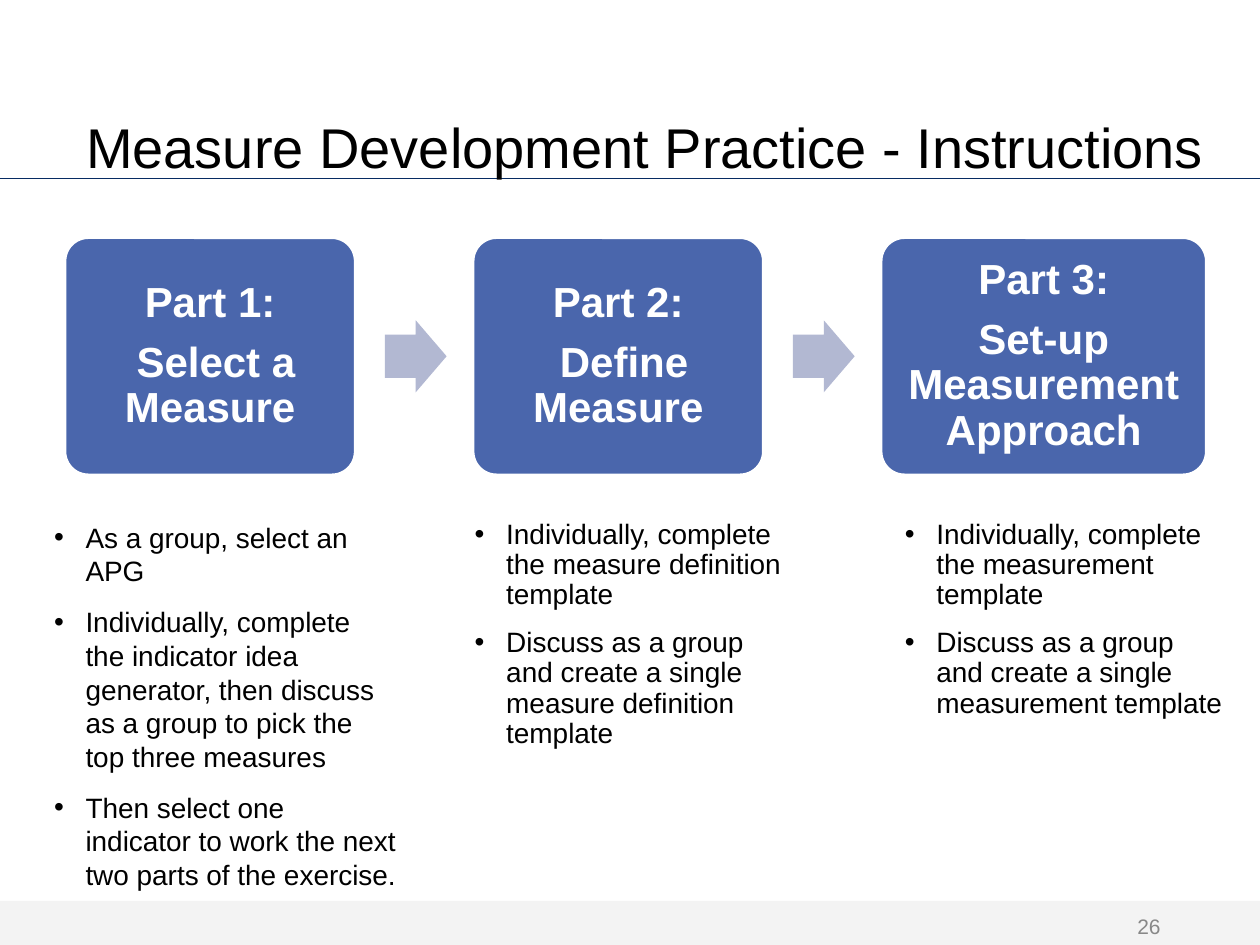
"""Build the measure development practice slide with three stages and their instructions."""
from dataclasses import dataclass

import pptx
import pptx.dml.color
import pptx.enum.shapes
import pptx.enum.text
import pptx.oxml
import pptx.oxml.ns
import pptx.util

Pt = pptx.util.Pt
Shape = pptx.enum.shapes.MSO_SHAPE
Align = pptx.enum.text.PP_ALIGN
Anchor = pptx.enum.text.MSO_ANCHOR


@dataclass(frozen=True)
class Theme:
    font: str = "Arial"
    title_size: float = 32
    card_size: float = 24
    body_size: float = 16
    number_size: float = 12
    ink: str = "000000"
    paper: str = "FFFFFF"
    rule: str = "072B62"
    band: str = "F3F3F3"
    card: str = "4A66AC"
    arrow: str = "B2B8D2"
    number: str = "888888"


@dataclass(frozen=True)
class Stage:
    heading: str
    name: str
    card_width: float
    list_left: float
    list_width: float
    line_spacing: float
    steps: tuple[str, ...]


THEME = Theme()
CARD_TOP, CARD_HEIGHT, CARD_LEFT, CARD_STEP = 135.6, 136, 36.9, 233.2
ARROW_OFFSET, ARROW_WIDTH, ARROW_HEIGHT = 183, 35.3, 41.2
LIST_TOP, LIST_HEIGHT = 293.8, 180
INSET = 7.2

STAGES = (
    Stage("Part 1:", " Select a Measure", 166.3, 23.8, 210, 1.0, (
        "As a group, select an APG",
        "Individually, complete the indicator idea generator, then discuss as a group "
        "to pick the top three measures",
        "Then select one indicator to work the next two parts of the exercise.")),
    Stage("Part 2:", " Define Measure", 166.3, 264.2, 198, 0.9, (
        "Individually, complete the measure definition template",
        "Discuss as a group and create a single measure definition template")),
    Stage("Part 3:", "Set-up Measurement Approach", 186.3, 510, 198, 0.9, (
        "Individually, complete the measurement template",
        "Discuss as a group and create a single measurement template")),
)


def color(value: str) -> pptx.dml.color.RGBColor:
    return pptx.dml.color.RGBColor.from_string(value)


def place(item, left: float, top: float, width: float, height: float) -> None:
    item.left, item.top, item.width, item.height = map(Pt, (left, top, width, height))


def prepare_frame(frame, anchor, side: float = INSET, edge: float = INSET) -> None:
    frame.word_wrap = True
    frame.auto_size = pptx.enum.text.MSO_AUTO_SIZE.NONE
    frame.vertical_anchor = anchor
    frame.margin_left = frame.margin_right = Pt(side)
    frame.margin_top = frame.margin_bottom = Pt(edge)


def style(para, size: float, ink: str, align, spacing: float = 1.0, bold: bool = False) -> None:
    para.alignment = align
    para.line_spacing = spacing
    for span in para.runs:
        span.font.name = THEME.font
        span.font.size = Pt(size)
        span.font.bold = bold
        span.font.color.rgb = color(ink)


def add_filled(page, kind, bounds: tuple[float, ...], fill: str):
    shape = page.shapes.add_shape(kind, *map(Pt, bounds))
    shape.shadow.inherit = False
    shape.fill.solid()
    shape.fill.fore_color.rgb = color(fill)
    shape.line.fill.background()
    return shape


def add_card(page, stage: Stage, left: float) -> None:
    card = add_filled(page, Shape.ROUNDED_RECTANGLE,
                      (left, CARD_TOP, stage.card_width, CARD_HEIGHT), THEME.card)
    card.adjustments[0] = 0.1
    card.line.color.rgb = color(THEME.paper)
    card.line.width = Pt(2)
    prepare_frame(card.text_frame, Anchor.MIDDLE, 7.2, 7.2)
    card.text_frame.text = f"{stage.heading}\n{stage.name}"
    for para in card.text_frame.paragraphs:
        style(para, THEME.card_size, THEME.paper, Align.CENTER, 0.9, True)
        para.space_after = Pt(0.35 * THEME.card_size)


def add_arrow(page, left: float) -> None:
    top = CARD_TOP + (CARD_HEIGHT - ARROW_HEIGHT) / 2
    arrow = add_filled(page, Shape.RIGHT_ARROW, (left, top, ARROW_WIDTH, ARROW_HEIGHT), THEME.arrow)
    arrow.adjustments[0] = 0.6
    arrow.adjustments[1] = 0.5


def add_bullet(para) -> None:
    properties = para._p.get_or_add_pPr()
    properties.set("marL", str(Pt(18)))
    properties.set("indent", str(-Pt(18)))
    namespace = pptx.oxml.ns.nsdecls("a")
    for markup in (f'<a:buClr {namespace}><a:srgbClr val="{THEME.ink}"/></a:buClr>',
                   f'<a:buFont {namespace} typeface="{THEME.font}"/>',
                   f'<a:buChar {namespace} char="•"/>'):
        properties.append(pptx.oxml.parse_xml(markup))


def add_steps(page, stage: Stage) -> None:
    bounds = (stage.list_left, LIST_TOP, stage.list_width, LIST_HEIGHT)
    box = page.shapes.add_textbox(*map(Pt, bounds))
    prepare_frame(box.text_frame, Anchor.TOP, INSET, 3.6)
    box.text_frame.text = "\n".join(stage.steps)
    for index, para in enumerate(box.text_frame.paragraphs):
        add_bullet(para)
        style(para, THEME.body_size, THEME.ink, Align.LEFT, stage.line_spacing)
        para.space_before = Pt(10 if index else 0)


def add_rule(page) -> None:
    rule = page.shapes.add_connector(pptx.enum.shapes.MSO_CONNECTOR.STRAIGHT,
                                     Pt(0), Pt(102), Pt(720), Pt(102))
    rule.line.color.rgb = color(THEME.rule)
    rule.line.width = Pt(0.75)
    effects = f'<a:effectLst {pptx.oxml.ns.nsdecls("a")}/>'
    rule.element.spPr.append(pptx.oxml.parse_xml(effects))


def add_title(page, text: str) -> None:
    title = page.shapes.title
    title.element.getparent().append(title.element)
    place(title, 41.8, 59.8, 653.8, 50.4)
    prepare_frame(title.text_frame, Anchor.BOTTOM)
    title.text_frame.text = text
    style(title.text_frame.paragraphs[0], THEME.title_size, THEME.ink, Align.RIGHT, 0.9)


def add_page_number(page, text: str) -> None:
    box = page.shapes.add_textbox(*map(Pt, (508.3, 511.2, 162, 28.8)))
    prepare_frame(box.text_frame, Anchor.BOTTOM, INSET, 3.6)
    box.text_frame.text = text
    style(box.text_frame.paragraphs[0], THEME.number_size, THEME.number, Align.RIGHT)


def main() -> None:
    deck = pptx.Presentation()
    deck.slide_width, deck.slide_height = Pt(720), Pt(540)
    page = deck.slides.add_slide(deck.slide_layouts.get_by_name("Title Only"))
    add_rule(page)
    add_filled(page, Shape.RECTANGLE, (0, 514.8, 720, 25.2), THEME.band)
    for index, stage in enumerate(STAGES):
        left = CARD_LEFT + index * CARD_STEP
        add_card(page, stage, left)
        if index < len(STAGES) - 1:
            add_arrow(page, left + ARROW_OFFSET)
    add_title(page, "Measure Development Practice - Instructions")
    for stage in STAGES:
        add_steps(page, stage)
    add_page_number(page, "26")
    deck.save("out.pptx")


if __name__ == "__main__":
    main()
